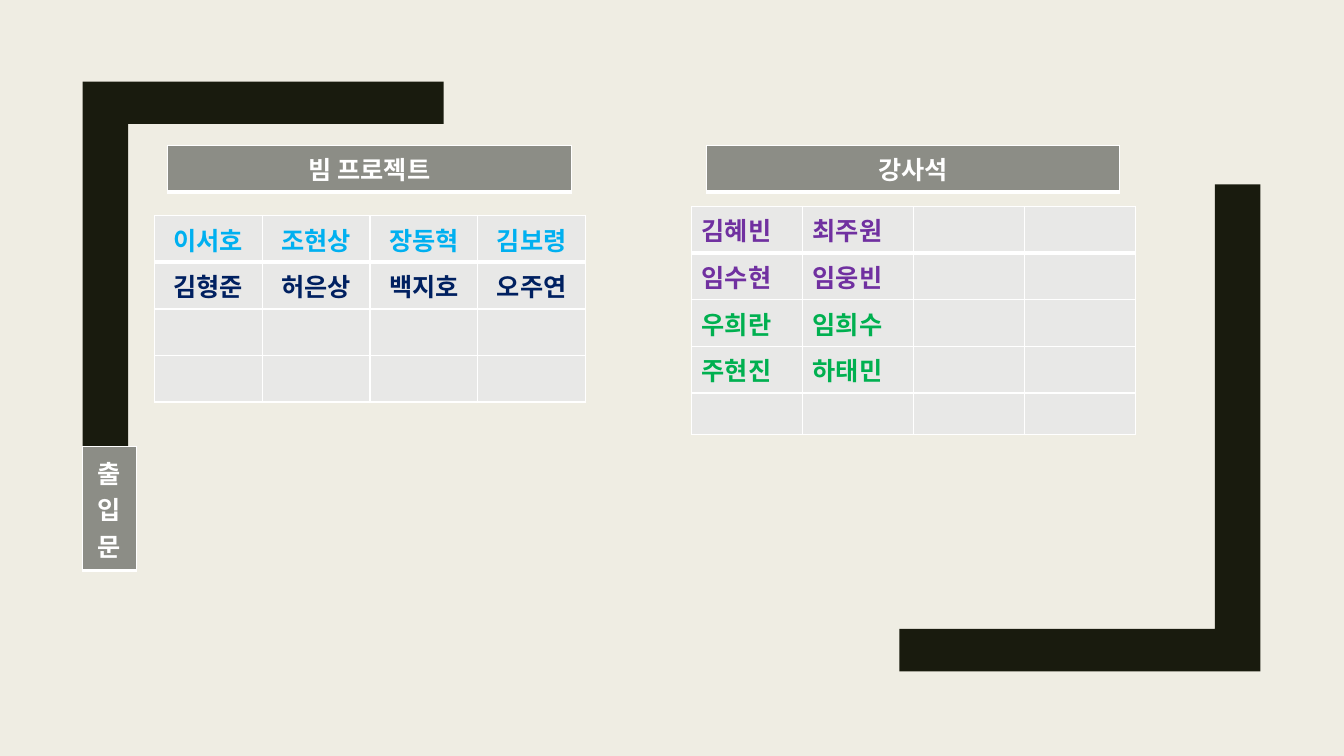
from dataclasses import dataclass

import lxml.etree
import pptx
import pptx.dml.color
import pptx.enum.text
import pptx.oxml
import pptx.oxml.ns
import pptx.util

Inches = pptx.util.Inches
Pt = pptx.util.Pt
qn = pptx.oxml.ns.qn
CENTER = pptx.enum.text.PP_ALIGN.CENTER
LEFT = pptx.enum.text.PP_ALIGN.LEFT

FONT = "Noto Sans CJK KR"
FONT_SIZE = Pt(18)
ROW_HEIGHT = 0.41
BACKGROUND, BRACKET = "EFEDE3", "191B0E"
SEAT_FILL, LABEL_FILL, WHITE = "E8E8E7", "8C8D86", "FFFFFF"
PURPLE, GREEN, SKY, NAVY = "7030A0", "00B050", "00B0F0", "002060"


@dataclass
class Row:
    names: list[str]
    color: str = WHITE
    styled: bool = True  # an empty row keeps the height of the seat font


@dataclass
class Grid:
    left: float
    top: float
    column_width: float
    rows: list[Row]
    columns: int = 4
    row_height: float = ROW_HEIGHT
    fill: str = SEAT_FILL
    alignment: pptx.enum.text.PP_ALIGN = CENTER
    anchor: pptx.enum.text.MSO_ANCHOR = pptx.enum.text.MSO_ANCHOR.TOP


def rgb(value: str) -> pptx.dml.color.RGBColor:
    return pptx.dml.color.RGBColor.from_string(value)


def paint(fill, color: str) -> None:
    fill.solid()
    fill.fore_color.rgb = rgb(color)


def add_typefaces(properties) -> None:
    for tag in ("a:latin", "a:ea"):
        for old in properties.findall(qn(tag)):
            properties.remove(old)
        lxml.etree.SubElement(properties, qn(tag), typeface=FONT)


def add_borders(cell, widths: dict[str, int]) -> None:
    properties = cell._tc.get_or_add_tcPr()
    for side, width in widths.items():
        line = lxml.etree.SubElement(properties, qn(f"a:ln{side}"), w=str(Pt(width)))
        solid = lxml.etree.SubElement(line, qn("a:solidFill"))
        lxml.etree.SubElement(solid, qn("a:srgbClr"), val=WHITE)


def write_name(cell, name: str, row: Row, alignment) -> None:
    paragraph = cell.text_frame.paragraphs[0]
    paragraph.text = name
    paragraph.alignment = alignment
    for run in paragraph.runs:
        run.font.size = FONT_SIZE
        run.font.bold = True
        run.font.color.rgb = rgb(row.color)
        add_typefaces(run.font._element if hasattr(run.font, "_element") else run._r.get_or_add_rPr())
    if not name and row.styled:
        ending = lxml.etree.SubElement(paragraph._p, qn("a:endParaRPr"), sz="1800", b="1")
        add_typefaces(ending)


def add_grid(slide, grid: Grid) -> None:
    count = len(grid.rows)
    table = slide.shapes.add_table(
        count, grid.columns, Inches(grid.left), Inches(grid.top),
        Inches(grid.column_width * grid.columns), Inches(grid.row_height * count),
    ).table
    table.first_row = False
    table.horz_banding = False
    for column in table.columns:
        column.width = Inches(grid.column_width)
    for row_index, row in enumerate(grid.rows):
        table.rows[row_index].height = Inches(grid.row_height)
        # The first row is closed by a thick line
        widths = {"L": 1, "R": 1, "T": 3 if row_index == 1 else 1, "B": 3 if row_index == 0 else 1}
        for column_index in range(grid.columns):
            cell = table.cell(row_index, column_index)
            name = row.names[column_index] if column_index < len(row.names) else ""
            add_borders(cell, widths)
            paint(cell.fill, grid.fill)
            cell.vertical_anchor = grid.anchor
            write_name(cell, name, row, grid.alignment)


def add_bracket(slide, points: list[tuple[float, float]]) -> None:
    corners = [(Inches(x), Inches(y)) for x, y in points]
    builder = slide.shapes.build_freeform(*corners[0], scale=1.0)
    builder.add_line_segments(corners[1:], close=True)
    shape = builder.convert_to_shape()
    shape.shadow.inherit = False
    paint(shape.fill, BRACKET)
    shape.line.fill.background()


def label(left: float, top: float, width: float, text: str, **options) -> Grid:
    return Grid(left, top, width, [Row([text])], columns=1, fill=LABEL_FILL, **options)


presentation = pptx.Presentation()
presentation.slide_width = Inches(13.33)
presentation.slide_height = Inches(7.5)
slide = presentation.slides.add_slide(presentation.slide_layouts[6])
paint(slide.background.fill, BACKGROUND)

# Corner brackets: the right one is the left one turned by half a turn
left_bracket = [(0.82, 0.81), (4.4, 0.81), (4.4, 1.23), (1.27, 1.23), (1.27, 5.64), (0.82, 5.64)]
add_bracket(slide, [(13.32 - x, 7.47 - y) for x, y in left_bracket])
add_bracket(slide, left_bracket)

# Seats
instructor_seats = Grid(6.86, 2.05, 1.1, [
    Row(["김혜빈", "최주원"], PURPLE),
    Row(["임수현", "임웅빈"], PURPLE),
    Row(["우희란", "임희수"], GREEN),
    Row(["주현진", "하태민"], GREEN),
    Row([], styled=False),
], alignment=LEFT)
projector_seats = Grid(1.53, 2.14, 1.07, [
    Row(["이서호", "조현상", "장동혁", "김보령"], SKY),
    Row(["김형준", "허은상", "백지호", "오주연"], NAVY),
    Row([]),
    Row([]),
])

# Room labels
projector = label(1.66, 1.44, 4.01, "빔 프로젝트")
instructor = label(7.01, 1.44, 4.09, "강사석")
door = label(0.82, 4.43, 0.53, "출입문", row_height=1.23,
             anchor=pptx.enum.text.MSO_ANCHOR.MIDDLE)

for grid in (instructor_seats, projector_seats, projector, instructor, door):
    add_grid(slide, grid)

presentation.save("out.pptx")
